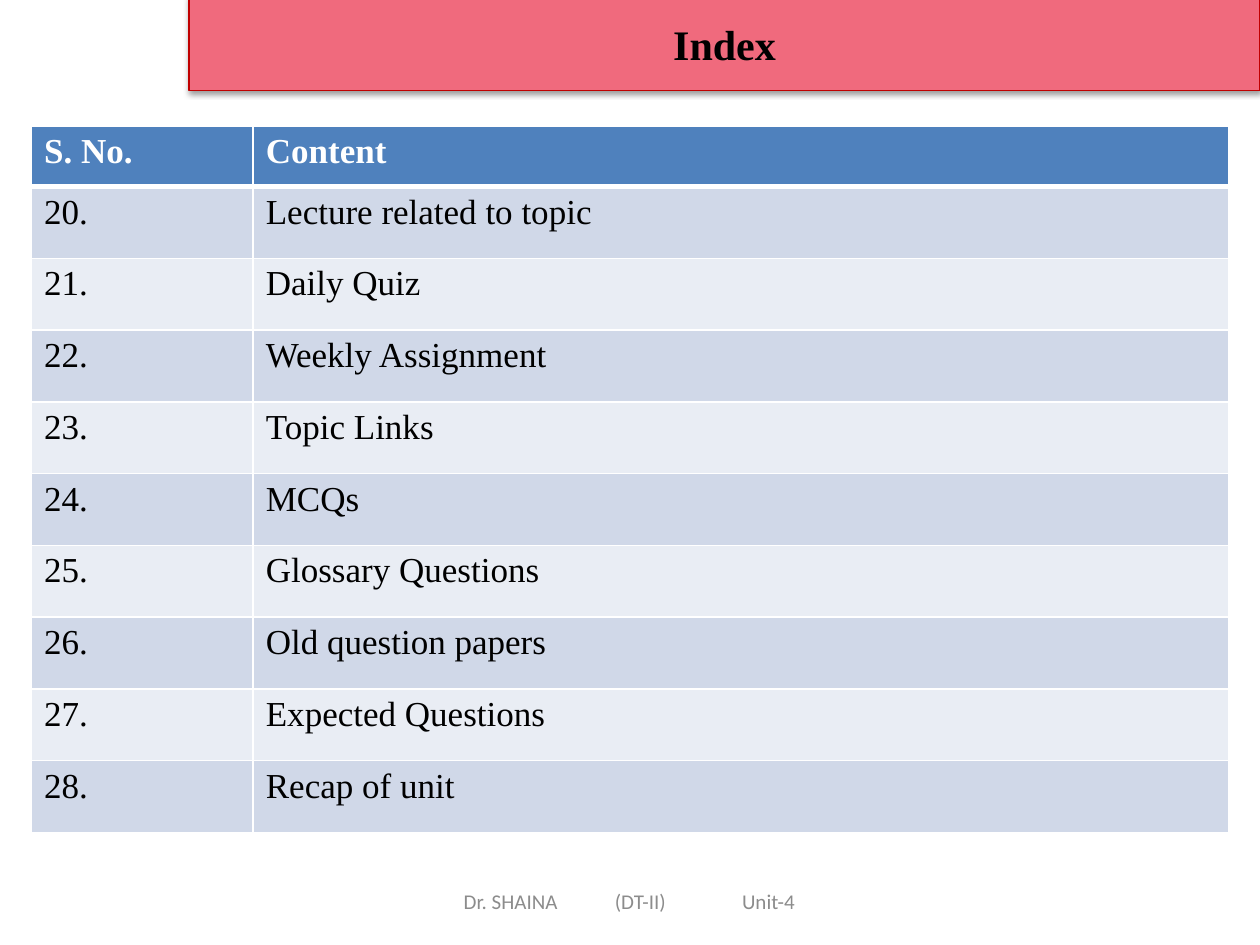
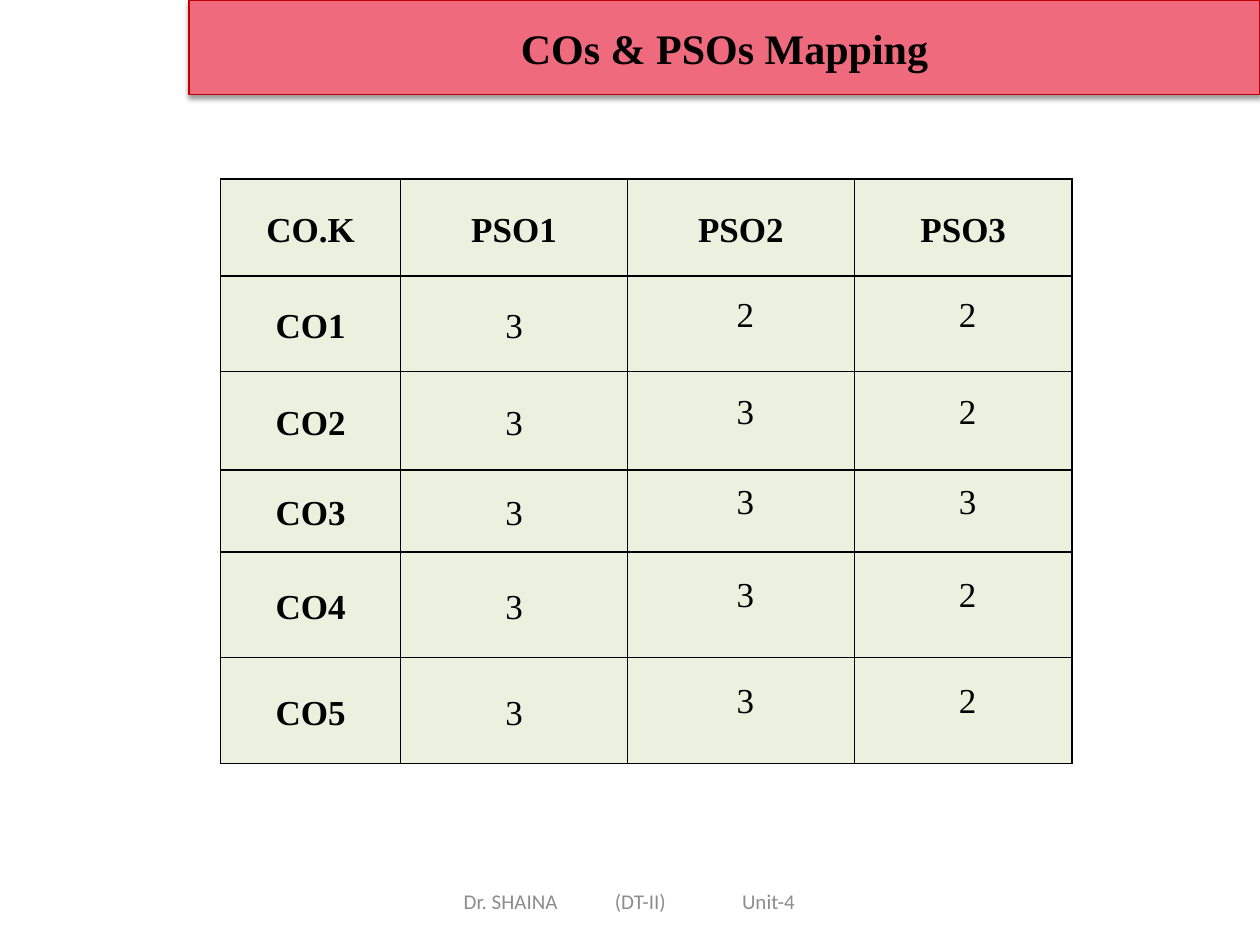
from lxml import etree
from pptx import Presentation
from pptx.dml.color import RGBColor
from pptx.enum import text
from pptx.oxml import parse_xml
from pptx.oxml.ns import nsdecls, qn
from pptx.util import Inches, Pt

INDEX_ROWS = [
    ("S. No.", "Content"),
    ("20.", "Lecture related to topic"),
    ("21.", "Daily Quiz"),
    ("22.", "Weekly Assignment"),
    ("23.", "Topic Links"),
    ("24.", "MCQs"),
    ("25.", "Glossary Questions"),
    ("26.", "Old question papers"),
    ("27.", "Expected Questions"),
    ("28.", "Recap of unit"),
]
MAPPING_ROWS = [
    ("CO.K", "PSO1", "PSO2", "PSO3"),
    ("CO1", "3", "2", "2"),
    ("CO2", "3", "3", "2"),
    ("CO3", "3", "3", "3"),
    ("CO4", "3", "3", "2"),
    ("CO5", "3", "3", "2"),
]
FOOTER = ["Dr. SHAINA", "(DT-II)", "Unit-4"]
FOOTER_TABS = [1.2, 2.21]

SERIF, SANS = "Times New Roman", "Calibri"
BLACK, WHITE, GREY = "000000", "FFFFFF", "8C8C8C"
BAND, BAND_EDGE = "F06A7D", "C00000"
HEADER_BLUE, STRIPES = "4F81BD", ("E9EDF4", "D0D8E8")
MAPPING_GREEN = "EBF1DE"

CENTER = text.PP_ALIGN.CENTER
MIDDLE = text.MSO_ANCHOR.MIDDLE


def rgb(value):
    return RGBColor.from_string(value)


def add_run(paragraph, words, size, color=BLACK, bold=False, face=SERIF):
    run = paragraph.add_run()
    run.text = words
    run.font.size, run.font.name, run.font.bold = Pt(size), face, bold
    run.font.color.rgb = rgb(color)


def add_title_band(slide, words, top):
    band = slide.shapes.title
    band.left, band.top = Inches(1.5), Inches(top)
    band.width, band.height = Inches(8.5), Inches(0.75)
    band.fill.solid()
    band.fill.fore_color.rgb = rgb(BAND)
    band.line.color.rgb = rgb(BAND_EDGE)
    band.line.width = Pt(0.75)
    band._element.spPr.append(parse_xml(
        f'<a:effectLst {nsdecls("a")}><a:outerShdw blurRad="{Pt(3.1)}" dist="{Pt(1.6)}" '
        f'dir="5400000" rotWithShape="0"><a:srgbClr val="{BLACK}"><a:alpha val="38000"/>'
        '</a:srgbClr></a:outerShdw></a:effectLst>'))
    band.text_frame.vertical_anchor = MIDDLE
    heading = band.text_frame.paragraphs[0]
    heading.alignment = CENTER
    add_run(heading, words, 24, bold=True)


def add_footer(slide):
    footer = slide.shapes.add_textbox(Inches(3.42), Inches(6.95), Inches(3.17), Inches(0.4))
    frame = footer.text_frame
    frame.word_wrap = True
    frame.vertical_anchor = MIDDLE
    frame.margin_left = Inches(0.26)
    line = frame.paragraphs[0]
    stops = etree.SubElement(line._p.get_or_add_pPr(), qn("a:tabLst"))
    for position in FOOTER_TABS:
        etree.SubElement(stops, qn("a:tab"), pos=str(Inches(position)), algn="l")
    add_run(line, "\t".join(FOOTER), 12, GREY, face=SANS)


def set_borders(cell, color, top=1, bottom=1):
    for side, width in (("L", 1), ("R", 1), ("T", top), ("B", bottom)):
        cell._tc.get_or_add_tcPr().append(parse_xml(
            f'<a:ln{side} {nsdecls("a")} w="{Pt(width)}"><a:solidFill>'
            f'<a:srgbClr val="{color}"/></a:solidFill></a:ln{side}>'))


def add_grid(slide, rows, left, top, widths, heights, style_cell):
    """Add a table and pass each cell, with its row, column and words, to style_cell."""
    table = slide.shapes.add_table(
        len(rows), len(widths), Inches(left), Inches(top),
        Inches(sum(widths)), Inches(sum(heights))).table
    table.horz_banding = False
    for column, width in zip(table.columns, widths):
        column.width = Inches(width)
    for r, (row, height) in enumerate(zip(rows, heights)):
        table.rows[r].height = Inches(height)
        for c, words in enumerate(row):
            style_cell(table.cell(r, c), r, c, words)


def fill_cell(cell, color):
    cell.fill.solid()
    cell.fill.fore_color.rgb = rgb(color)


def style_index_cell(cell, r, c, words):
    header = r == 0
    set_borders(cell, WHITE, top=3 if r == 1 else 1, bottom=3 if header else 1)
    fill_cell(cell, HEADER_BLUE if header else STRIPES[r % 2])
    add_run(cell.text_frame.paragraphs[0], words, 20, WHITE if header else BLACK, header)


def style_mapping_cell(cell, r, c, words):
    set_borders(cell, BLACK)
    fill_cell(cell, MAPPING_GREEN)
    cell.vertical_anchor = MIDDLE
    cell.margin_left = cell.margin_right = Inches(0.06)
    cell.margin_top = cell.margin_bottom = 0
    entry = cell.text_frame.paragraphs[0]
    entry.alignment = CENTER
    if r > 0 and c > 1:
        entry.line_spacing = Pt(12.3)
        entry._p.get_or_add_pPr().set("marL", str(Inches(0.07)))
    else:
        entry.line_spacing = 1.15
    add_run(entry, words, 20, bold=r == 0 or c == 0)


def main():
    deck = Presentation()
    deck.slide_width, deck.slide_height = Inches(10), Inches(7.5)
    title_only = deck.slide_layouts[5]

    index = deck.slides.add_slide(title_only)
    add_title_band(index, "Index", -0.03)
    index_heights = [0.48] + [0.57] * (len(INDEX_ROWS) - 1)
    add_grid(index, INDEX_ROWS, 0.25, 1, [1.76, 7.74], index_heights, style_index_cell)
    add_footer(index)

    mapping = deck.slides.add_slide(title_only)
    add_title_band(mapping, "COs & PSOs Mapping", 0)
    add_grid(mapping, MAPPING_ROWS, 1.75, 1.42, [1.43, 1.8, 1.8, 1.73],
             [0.77, 0.76, 0.78, 0.65, 0.84, 0.84], style_mapping_cell)
    add_footer(mapping)

    deck.save("out.pptx")


if __name__ == "__main__":
    main()
